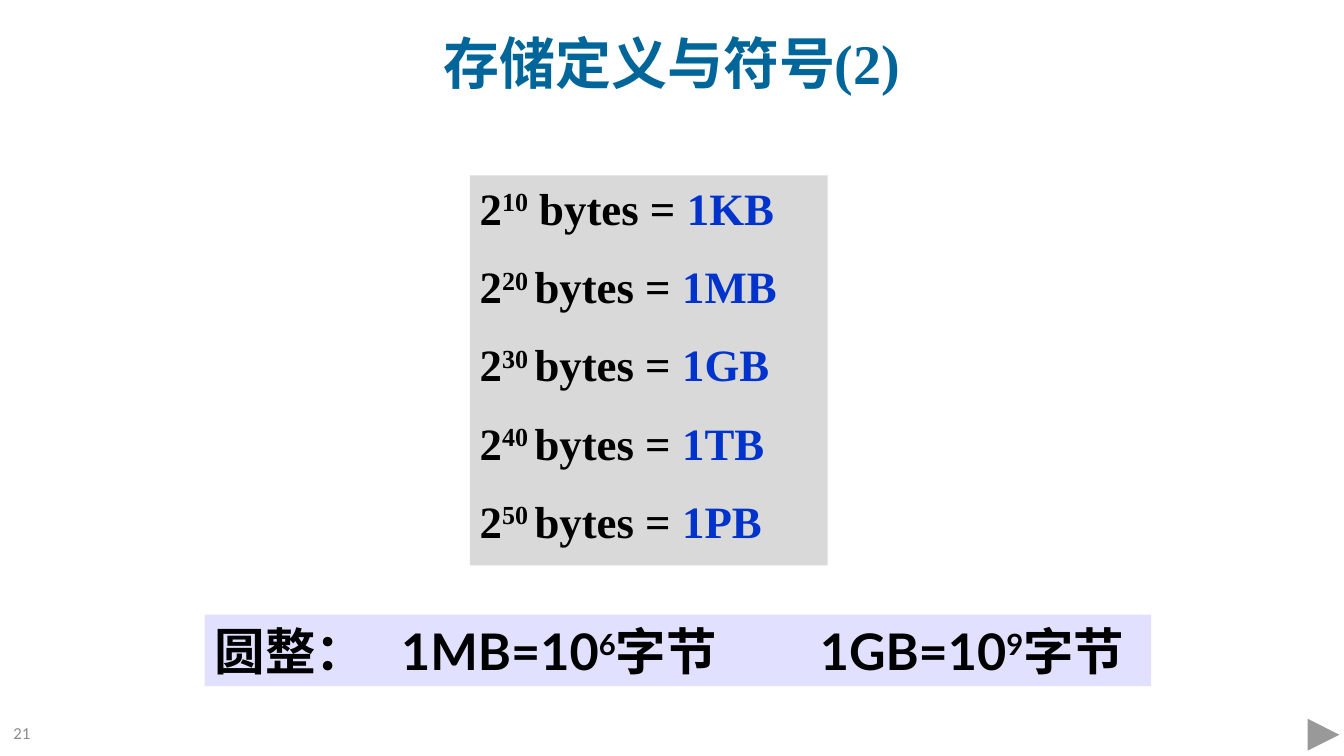
from dataclasses import dataclass

from lxml.etree import SubElement
from pptx import Presentation
from pptx.dml.color import RGBColor
from pptx.enum.shapes import MSO_SHAPE as Shape
from pptx.enum.text import MSO_ANCHOR as Anchor, MSO_AUTO_SIZE as AutoSize, PP_ALIGN as Align
from pptx.oxml.ns import qn
from pptx.util import Cm, Pt

TEAL = RGBColor(0x00, 0x66, 0x99)
BLACK = RGBColor(0x00, 0x00, 0x00)
BLUE = RGBColor(0x00, 0x33, 0xCC)
WHITE = RGBColor(0xFF, 0xFF, 0xFF)
PANEL_GREY = RGBColor(0xD9, 0xD9, 0xD9)
NUMBER_GREY = RGBColor(0x8C, 0x8C, 0x8C)
LAVENDER = RGBColor(0xE1, 0xE1, 0xFF)

SERIF = "Times New Roman"
TITLE_FONT = {"size": Pt(40), "bold": True}
UNIT_FONT = {"size": Pt(32), "bold": True, "name": SERIF}
ROUNDING_FONT = {"size": Pt(36), "bold": True, "name": "Lato"}
NUMBER_FONT = {"size": Pt(12), "name": "Calibri"}


@dataclass(frozen=True)
class Box:
    left: float
    top: float
    width: float
    height: float

    def lengths(self) -> tuple:
        return Cm(self.left), Cm(self.top), Cm(self.width), Cm(self.height)


@dataclass(frozen=True)
class Unit:
    exponent: int
    symbol: str


TITLE_BOX = Box(4.23, 0.41, 25.4, 2.01)
UNITS_BOX = Box(11.84, 4.42, 9.02, 9.83)
ROUNDING_BOX = Box(5.16, 15.49, 23.85, 1.8)
NUMBER_BOX = Box(0, 17.98, 1.02, 0.97)
NEXT_BOX = Box(32.82, 17.98, 1.07, 1.07)
ROUNDING_TABS = (4.7, 15.25)
UNITS = [Unit(10 * step, f"1{prefix}B") for step, prefix in enumerate("KMGTP", 1)]


def set_values(target, values: dict) -> None:
    for name, value in values.items():
        setattr(target, name, value)


def place(shape, box: Box) -> None:
    names = ("left", "top", "width", "height")
    set_values(shape, dict(zip(names, box.lengths())))


def format_frame(frame, anchor: Anchor) -> None:
    set_values(frame, {
        "word_wrap": True, "auto_size": AutoSize.NONE, "vertical_anchor": anchor,
        "margin_left": Cm(0.25), "margin_right": Cm(0.25),
        "margin_top": Cm(0.13), "margin_bottom": Cm(0.13),
    })


def add_run(paragraph, text: str, font: dict, color: RGBColor, raised: bool = False) -> None:
    run = paragraph.add_run()
    run.text = text
    set_values(run.font, font)
    run.font.color.rgb = color
    if raised:
        run.font._element.set("baseline", "30000")


def add_plain_shape(slide, kind: Shape, box: Box, fill: RGBColor):
    shape = slide.shapes.add_shape(kind, *box.lengths())
    shape.shadow.inherit = False
    shape.fill.solid()
    shape.fill.fore_color.rgb = fill
    shape.line.fill.background()
    return shape


def add_title(slide) -> None:
    title = slide.shapes.title
    place(title, TITLE_BOX)
    format_frame(title.text_frame, Anchor.TOP)
    paragraph = title.text_frame.paragraphs[0]
    set_values(paragraph, {"alignment": Align.CENTER, "line_spacing": 1.1, "space_before": Pt(0)})
    add_run(paragraph, "存储定义与符号", {**TITLE_FONT, "name": "Calibri"}, TEAL)
    add_run(paragraph, "(2)", {**TITLE_FONT, "name": SERIF}, TEAL)


def add_units(slide) -> None:
    body = slide.placeholders[1]
    place(body, UNITS_BOX)
    body.fill.solid()
    body.fill.fore_color.rgb = PANEL_GREY
    frame = body.text_frame
    format_frame(frame, Anchor.TOP)
    for index, unit in enumerate(UNITS):
        paragraph = frame.add_paragraph() if index else frame.paragraphs[0]
        properties = paragraph._p.get_or_add_pPr()
        properties.set("marL", "0")
        properties.set("indent", "0")
        SubElement(properties, qn("a:buNone"))
        paragraph.alignment = Align.LEFT
        paragraph.space_before = Pt(17.5 if index else 0)
        add_run(paragraph, "2", UNIT_FONT, BLACK)
        # The first line has a full-size space after its exponent, the others a raised one.
        add_run(paragraph, f"{unit.exponent} " if index else f"{unit.exponent}",
                UNIT_FONT, BLACK, raised=True)
        add_run(paragraph, "bytes = " if index else " bytes = ", UNIT_FONT, BLACK)
        add_run(paragraph, unit.symbol, UNIT_FONT, BLUE)


def add_rounding(slide) -> None:
    banner = add_plain_shape(slide, Shape.RECTANGLE, ROUNDING_BOX, LAVENDER)
    format_frame(banner.text_frame, Anchor.MIDDLE)
    paragraph = banner.text_frame.paragraphs[0]
    paragraph.alignment = Align.LEFT
    tab_list = SubElement(paragraph._p.get_or_add_pPr(), qn("a:tabLst"))
    for position in ROUNDING_TABS:
        SubElement(tab_list, qn("a:tab"), pos=str(Cm(position)), algn="l")
    add_run(paragraph, "圆整：", {**ROUNDING_FONT, "name": "DejaVu Sans"}, BLACK)
    for symbol, exponent in (("1MB", "6"), ("1GB", "9")):
        add_run(paragraph, f"\t{symbol}=10", ROUNDING_FONT, BLACK)
        add_run(paragraph, exponent, ROUNDING_FONT, BLACK, raised=True)
        add_run(paragraph, "字节", ROUNDING_FONT, BLACK)


def add_slide_number(slide) -> None:
    frame = slide.shapes.add_textbox(*NUMBER_BOX.lengths()).text_frame
    format_frame(frame, Anchor.MIDDLE)
    paragraph = frame.paragraphs[0]
    paragraph.alignment = Align.RIGHT
    add_run(paragraph, "21", NUMBER_FONT, NUMBER_GREY)


def main() -> None:
    presentation = Presentation()
    set_values(presentation, {"slide_width": Cm(33.87), "slide_height": Cm(19.05)})
    slide = presentation.slides.add_slide(presentation.slide_layouts[1])
    add_title(slide)
    add_units(slide)
    add_plain_shape(slide, Shape.ACTION_BUTTON_FORWARD_OR_NEXT, NEXT_BOX, WHITE)
    add_slide_number(slide)
    add_rounding(slide)
    presentation.save("out.pptx")


if __name__ == "__main__":
    main()
